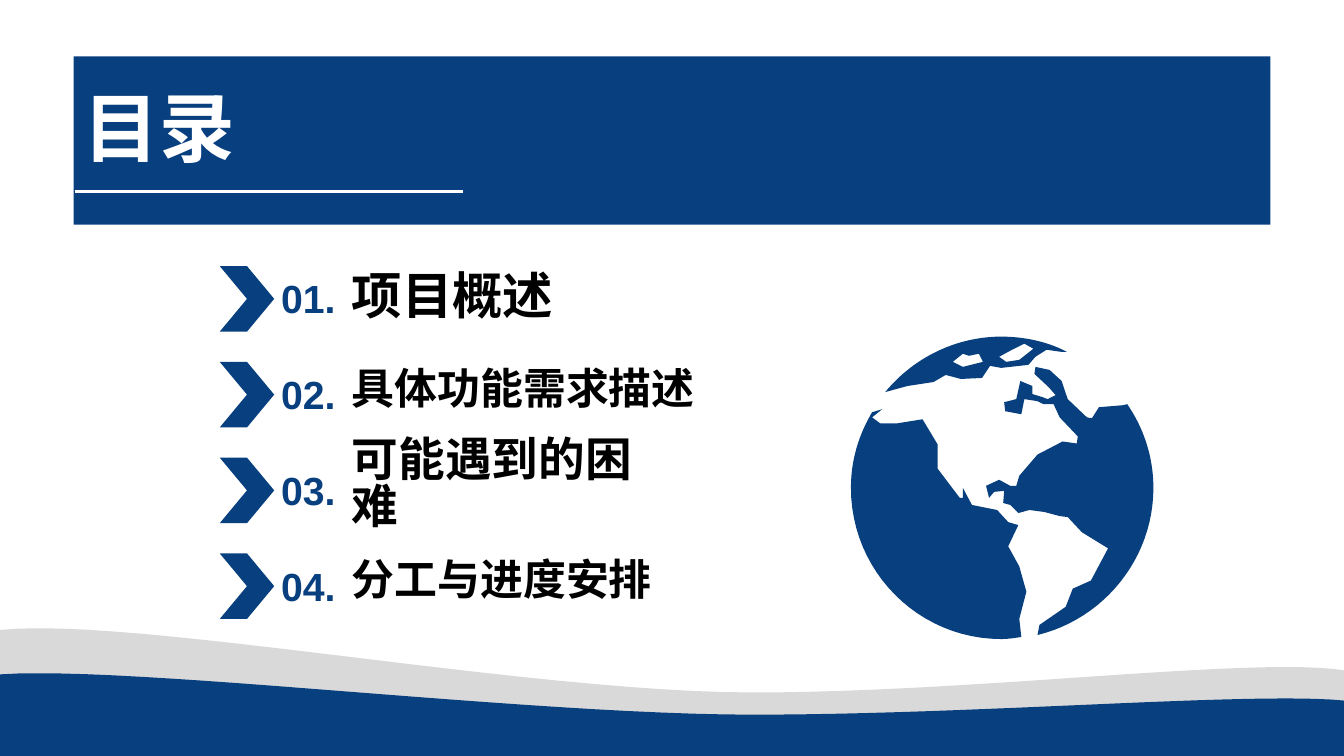
import pptx
import pptx.util
import pptx.dml.color
import pptx.enum.shapes
import pptx.enum.text

RGB = pptx.dml.color.RGBColor
SHAPE = pptx.enum.shapes.MSO_SHAPE
ANCHOR = pptx.enum.text.MSO_ANCHOR

NAVY = RGB(0x08, 0x3F, 0x7F)
GREY = RGB(0xD9, 0xD9, 0xD9)
WHITE = RGB(0xFF, 0xFF, 0xFF)
BLACK = RGB(0, 0, 0)

COLS, ROWS = 13.33, 7.5  # grid of the slide

# Outlines: a pair is a corner, six numbers are a Bezier curve
LAND = [  # west ocean, east ocean, two islands, arctic cap
    [(8.75, 4.06), (8.65, 4.14), (8.73, 4.2), (8.9, 4.2), (9.15, 4.16),
     (9.3, 4.41), (9.3, 4.65), (9.52, 4.94), (9.55, 4.94), (9.55, 4.84),
     (9.64, 5.01), (9.89, 5.06), (10, 5.18), (10.1, 5.21), (10, 5.42),
     (10.11, 5.62), (10.18, 5.87), (10.11, 6.14), (10.13, 6.32),
     (10.06, 6.33, 10, 6.34, 9.93, 6.34),
     (9.11, 6.34, 8.44, 5.67, 8.44, 4.84),
     (8.44, 4.56, 8.52, 4.31, 8.65, 4.09)],
    [(10.27, 3.64), (10.41, 3.67), (10.53, 3.78), (10.56, 3.87),
     (10.59, 3.96), (10.78, 4.14), (10.83, 4.15), (10.9, 4.04),
     (11.14, 4.02), (11.18, 4.01), (11.34, 4.24, 11.44, 4.53, 11.44, 4.84),
     (11.44, 5.54, 10.95, 6.14, 10.29, 6.3), (10.31, 6.2), (10.57, 6.02),
     (10.64, 5.84), (10.82, 5.76), (10.99, 5.44), (10.73, 5.28),
     (10.59, 5.13), (10.51, 5.12), (10.36, 5.08), (10.21, 5.06),
     (10.1, 5.09), (10.02, 5.01), (9.95, 4.99), (9.96, 4.87), (9.86, 4.88),
     (9.81, 4.94), (9.78, 4.82), (9.91, 4.76), (10.02, 4.82), (10.08, 4.82),
     (10.11, 4.72), (10.29, 4.51), (10.54, 4.38), (10.68, 4.4),
     (10.69, 4.33), (10.51, 4.14), (10.45, 4.01), (10.35, 4.01),
     (10.29, 3.98), (10.16, 3.96), (10.13, 4.11), (9.97, 4.08), (9.96, 3.99),
     (10.08, 3.96), (10.12, 3.78), (10.24, 3.83), (10.24, 3.91),
     (10.34, 3.94), (10.39, 3.96), (10.47, 3.92), (10.4, 3.84),
     (10.26, 3.71)],
    [(9.55, 3.51), (9.45, 3.59), (9.55, 3.64), (9.75, 3.59), (9.71, 3.51),
     (9.61, 3.53)],
    [(10.16, 3.41), (10, 3.49), (9.91, 3.54), (9.98, 3.59), (10.11, 3.57),
     (10.25, 3.46)],
    [(9.93, 3.34), (10.16, 3.34, 10.39, 3.39, 10.58, 3.49), (10.52, 3.49),
     (10.38, 3.47), (10.27, 3.54), (10.2, 3.62), (9.93, 3.65), (9.82, 3.63),
     (9.74, 3.75), (9.53, 3.76), (9.38, 3.72), (9.26, 3.79), (9, 3.83),
     (8.78, 3.89), (9.05, 3.56, 9.47, 3.34, 9.93, 3.34)],
]
# Wave: colour, then heights of start, pull, trough, pull, end
WAVES = [
    (GREY, 6.25, 6.11, 6.87, 6.51, 6.65),
    (NAVY, 6.69, 6.6, 7.09, 6.86, 6.95),
]
# Entry: text, size, box width, line spacing
ITEMS = [
    ("项目概述", 36, 3.13, 1),
    ("具体功能需求描述", 30.6, 3.72, 0.9),
    ("可能遇到的困难", 33.3, 3.42, 0.84),
    ("分工与进度安排", 30.6, 3.28, 0.9),
]


def trace(steps, count=24):
    """Turn corners and curves into a list of points."""
    pts = [steps[0]]
    for step in steps[1:]:
        if len(step) == 2:
            pts.append(step)
            continue
        ctrl = [pts[-1], step[:2], step[2:4], step[4:]]
        for i in range(1, count + 1):
            t = i / count
            mix = ((1 - t) ** 3, 3 * t * (1 - t) ** 2, 3 * t * t * (1 - t), t ** 3)
            pts.append(tuple(sum(m * c[k] for m, c in zip(mix, ctrl))
                             for k in (0, 1)))
    return pts


class Page:
    font = "Arial"

    def __init__(self, deck):
        self.col = deck.slide_width / COLS
        self.row = deck.slide_height / ROWS
        self.slide = deck.slides.add_slide(deck.slide_layouts[6])
        self.shapes = self.slide.shapes

    def grid(self, *nums):
        """Columns and rows, in turn, as slide lengths."""
        return [round(n * (self.row if i % 2 else self.col))
                for i, n in enumerate(nums)]

    def paint(self, item, color):
        item.shadow.inherit = False
        item.fill.solid()
        item.fill.fore_color.rgb = color
        item.line.fill.background()

    def shape(self, kind, box, color):
        item = self.shapes.add_shape(kind, *self.grid(*box))
        self.paint(item, color)
        return item

    def free(self, loops, color):
        loops = [[self.grid(*p) for p in trace(loop)] for loop in loops]
        pen = self.shapes.build_freeform(*loops[0][0])
        for n, loop in enumerate(loops):
            if n:
                pen.move_to(*loop[0])
            pen.add_line_segments(loop[1:], close=True)
        self.paint(pen.convert_to_shape(), color)

    def line(self, ends, color, width):
        item = self.shapes.add_connector(
            pptx.enum.shapes.MSO_CONNECTOR.STRAIGHT, *self.grid(*ends))
        item.line.color.rgb = color
        item.line.width = pptx.util.Pt(width)
        props = item._element.spPr
        props.append(pptx.oxml.parse_xml(
            '<a:effectLst xmlns:a="http://schemas.openxmlformats.org/'
            'drawingml/2006/main"/>'))

    def text(self, box, words, size, color, anchor=ANCHOR.MIDDLE, lead=1):
        frame = self.shapes.add_textbox(*self.grid(*box)).text_frame
        frame.word_wrap = True
        frame.vertical_anchor = anchor
        frame.text = words
        para = frame.paragraphs[0]
        para.line_spacing = lead
        font = para.runs[0].font
        font.name, font.size, font.bold = self.font, pptx.util.Pt(size), True
        font.color.rgb = color


def main():
    deck = pptx.Presentation()
    deck.slide_width = pptx.util.Inches(COLS)
    deck.slide_height = pptx.util.Inches(ROWS)
    page = Page(deck)

    # Waves at the foot
    for color, start, rise, low, lift, end in WAVES:
        page.free([[(0, start), (1.31, rise, 5.24, low, 7.47, low),
                    (9.7, low, 12.42, lift, COLS, end),
                    (COLS, ROWS), (0, ROWS)]], color)

    # Title band
    page.shape(SHAPE.RECTANGLE, (0.73, 0.56, 11.87, 1.67), NAVY)
    page.text((0.73, 0.86, 3.28, 0.77), "目录", 54, WHITE, ANCHOR.TOP, 0.9)
    page.line((0.74, 1.9, 4.59, 1.9), WHITE, 1.5)

    # Contents list
    for n, (words, size, width, lead) in enumerate(ITEMS):
        mid = 2.96 + n * 0.95
        page.text((2.69, mid - 0.4, 1.08, 0.8), f"{n + 1:02}.", 28, NAVY)
        page.text((3.39, mid - 0.52, width, 0.97), words, size, BLACK, lead=lead)
        page.shape(SHAPE.CHEVRON, (2.18, mid - 0.32, 0.54, 0.65), NAVY)

    # Globe
    page.free(LAND, NAVY)

    deck.save("out.pptx")


if __name__ == "__main__":
    main()
